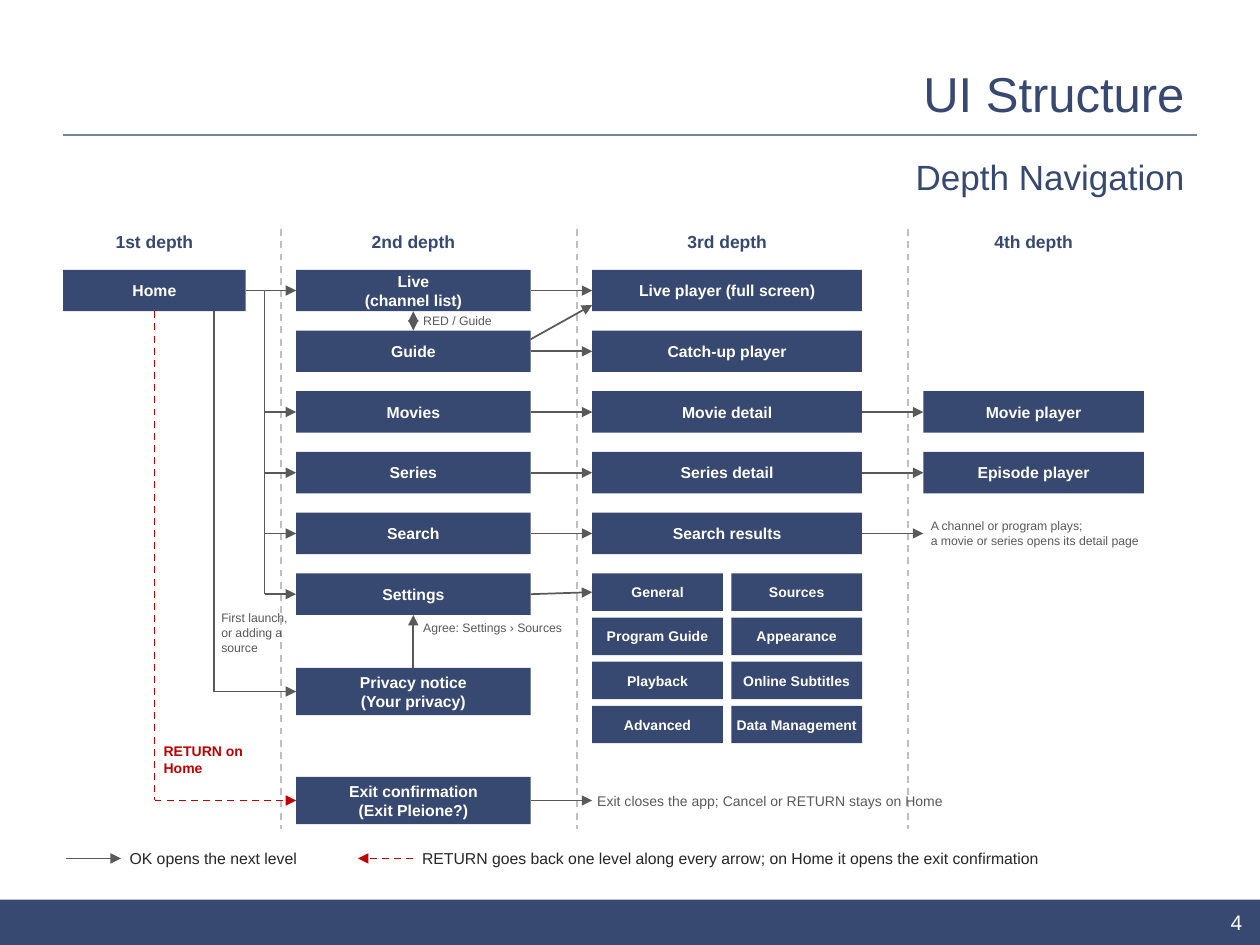
from collections import namedtuple

from lxml.etree import SubElement
from pptx import Presentation
from pptx.dml.color import RGBColor
from pptx.enum.dml import MSO_LINE
from pptx.enum.shapes import MSO_CONNECTOR, MSO_SHAPE
from pptx.enum.text import MSO_ANCHOR, PP_ALIGN
from pptx.oxml.ns import qn
from pptx.util import Pt

NAVY = RGBColor(0x37, 0x49, 0x71)
SLATE = RGBColor(0x6D, 0x87, 0x9C)
WHITE = RGBColor(0xFF, 0xFF, 0xFF)
SILVER = RGBColor(0xBF, 0xBF, 0xBF)
GREY = RGBColor(0x59, 0x59, 0x59)
INK = RGBColor(0x26, 0x26, 0x26)
RED = RGBColor(0xC0, 0x00, 0x00)
FONT = "Arial"

Box = namedtuple("Box", "left top width height")

# Columns are (left, width); node rows share one pitch
COLUMNS = [(36, 104.4), (169.2, 134), (338.4, 154.2), (527.6, 126)]
DIVIDERS = [160.6, 329.8, 519]
ROW_PITCH, NODE_HEIGHT = 34.7, 23.7
SETTING_PITCH, SETTING_HEIGHT, SETTING_GAP = 25.2, 21.4, 4.8

# Nodes of each column as {row: label}
NODES = [
    {0: "Home"},
    {0: "Live\n(channel list)", 1: "Guide", 2: "Movies", 3: "Series", 4: "Search", 5: "Settings"},
    {0: "Live player (full screen)", 1: "Catch-up player", 2: "Movie detail",
     3: "Series detail", 4: "Search results"},
    {2: "Movie player", 3: "Episode player"},
]
SETTINGS = [("General", "Sources"), ("Program Guide", "Appearance"),
            ("Playback", "Online Subtitles"), ("Advanced", "Data Management")]


def write(shape, text, size, color, bold=False, align=PP_ALIGN.LEFT, insets=(2.9, 1.4)):
    frame = shape.text_frame
    frame.word_wrap = True
    frame.vertical_anchor = MSO_ANCHOR.MIDDLE
    frame.margin_left = frame.margin_right = Pt(insets[0])
    frame.margin_top = frame.margin_bottom = Pt(insets[1])
    for index, line in enumerate(text.split("\n")):
        para = frame.add_paragraph() if index else frame.paragraphs[0]
        para.alignment = align
        span = para.add_run()
        span.text = line
        span.font.name, span.font.size, span.font.bold = FONT, Pt(size), bold
        span.font.color.rgb = color


def add_label(page, box, text, size, color, **style):
    write(page.shapes.add_textbox(*map(Pt, box)), text, size, color, **style)


def add_block(page, box):
    block = page.shapes.add_shape(MSO_SHAPE.RECTANGLE, *map(Pt, box))
    block.shadow.inherit = False
    block.fill.solid()
    block.fill.fore_color.rgb = NAVY
    block.line.fill.background()
    return block


def add_node(page, box, text, size=9):
    write(add_block(page, box), text, size, WHITE, bold=True, align=PP_ALIGN.CENTER)


def add_line(page, start, end, color=GREY, dashed=False, ends=()):
    line = page.shapes.add_connector(MSO_CONNECTOR.STRAIGHT, *map(Pt, (*start, *end)))
    line.line.color.rgb = color
    line.line.width = Pt(1)
    if dashed:
        line.line.dash_style = MSO_LINE.DASH
    outline = line.line._get_or_add_ln()
    for name in ends:
        SubElement(outline, qn("a:" + name), type="triangle")
    SubElement(line._element.spPr, qn("a:effectLst"))


def add_arrow(page, start, end, **style):
    add_line(page, start, end, ends=("tailEnd",), **style)


def add_frame(page, box):
    """Title, subtitle, rule and footer bar."""
    footer_top = 514.1
    add_block(page, Box(0, footer_top, box.width, box.height - footer_top))
    add_line(page, (36, 77), (684, 77), SLATE)
    title = page.shapes.title
    title.left, title.top, title.width, title.height = map(Pt, (167, 28.8, 517, 48.2))
    heading = {"align": PP_ALIGN.RIGHT, "insets": (7.2, 3.6)}
    write(title, "UI Structure", 28, NAVY, **heading)
    add_label(page, Box(167, 77, 517, 48.2), "Depth Navigation", 20, NAVY, **heading)
    add_label(page, Box(555, 519.1, 162, 15.1), "4", 12, WHITE, **heading)


def add_headers(page, box):
    """Depth names and the dashed dividers between the columns."""
    for (left, width), name in zip(COLUMNS, ("1st", "2nd", "3rd", "4th")):
        add_label(page, Box(left, box.top, width, 18), f"{name} depth", 10, NAVY,
                  bold=True, align=PP_ALIGN.CENTER)
    for x in DIVIDERS:
        add_line(page, (x, box.top + 2), (x, box.top + box.height), SILVER, dashed=True)


def add_settings(page, box):
    width = (box.width - SETTING_GAP) / 2
    for row, pair in enumerate(SETTINGS):
        for column, text in enumerate(pair):
            add_node(page, Box(box.left + column * (width + SETTING_GAP),
                               box.top + row * SETTING_PITCH, width, SETTING_HEIGHT), text, 8)


def add_flow(page, box):
    """Nodes on the grid, the notices below them and every arrow."""
    tops = [box.top + row * ROW_PITCH for row in range(6)]
    middles = [top + NODE_HEIGHT / 2 for top in tops]
    lefts = [left for left, _ in COLUMNS]
    rights = [left + width for left, width in COLUMNS]
    second, third = COLUMNS[1], COLUMNS[2]
    center = second[0] + second[1] / 2
    home_bottom, settings_bottom = tops[0] + NODE_HEIGHT, tops[5] + NODE_HEIGHT

    # Nodes
    for (left, width), column in zip(COLUMNS, NODES):
        for row, text in column.items():
            add_node(page, Box(left, tops[row], width, NODE_HEIGHT), text)
    add_settings(page, Box(third[0], tops[5], third[1], 97))
    privacy = Box(second[0], 381.7, second[1], 26.9)
    leave = Box(second[0], 444, second[1], 26.9)
    add_node(page, privacy, "Privacy notice\n(Your privacy)")
    add_node(page, leave, "Exit confirmation\n(Exit Pleione?)")
    privacy_middle = privacy.top + privacy.height / 2
    leave_middle = leave.top + leave.height / 2

    # Home branches into the second depth
    trunk = 151.2
    add_line(page, (rights[0], middles[0]), (trunk, middles[0]))
    add_line(page, (trunk, middles[0]), (trunk, middles[5]))
    for row in (0, 2, 3, 4, 5):
        add_arrow(page, (trunk, middles[row]), (lefts[1], middles[row]))

    # Second to third and third to fourth depth
    for row in range(5):
        add_arrow(page, (rights[1], middles[row]), (lefts[2], middles[row]))
    add_arrow(page, (rights[1], tops[1] + 5), (lefts[2], home_bottom - 3.6))
    add_arrow(page, (rights[1], middles[5]), (lefts[2], tops[5] + SETTING_HEIGHT / 2))
    for row in (2, 3, 4):
        add_arrow(page, (rights[2], middles[row]), (lefts[3], middles[row]))

    # Live and Guide switch both ways
    add_line(page, (center, home_bottom), (center, tops[1]), ends=("headEnd", "tailEnd"))
    add_label(page, Box(239, 177.4, 62.6, 11.5), "RED / Guide", 7, GREY)
    add_label(page, Box(529, 289.6, 135.4, 30.2),
              "A channel or program plays;\na movie or series opens its detail page", 7, GREY)

    # Return from Home to the exit confirmation
    home_center = 88.3
    add_line(page, (home_center, home_bottom), (home_center, leave_middle), RED, dashed=True)
    add_arrow(page, (home_center, leave_middle), (lefts[1], leave_middle), color=RED, dashed=True)
    add_label(page, Box(90.6, 426.2, 64.8, 15.8), "RETURN on Home", 8, RED, bold=True)
    add_arrow(page, (rights[1], leave_middle), (lefts[2], leave_middle))
    add_label(page, Box(lefts[2], 443.6, 236, 28.1),
              "Exit closes the app; Cancel or RETURN stays on Home", 8, GREY)

    # First launch leads to the privacy notice
    launch = 122.1
    add_line(page, (launch, home_bottom), (launch, privacy_middle))
    add_arrow(page, (launch, privacy_middle), (lefts[1], privacy_middle))
    add_label(page, Box(123.6, 345, 47.5, 33.1), "First launch,\nor adding a\nsource", 7, GREY)
    add_arrow(page, (center, privacy.top), (center, settings_bottom))
    add_label(page, Box(239, 353, 110.2, 11.5), "Agree: Settings › Sources", 7, GREY)


def add_legend(page, box):
    middle = box.top + box.height / 2
    add_arrow(page, (box.left, middle), (box.left + 31.5, middle))
    add_label(page, Box(71.2, box.top, 150, box.height), "OK opens the next level", 9, INK)
    add_arrow(page, (236.2, middle), (204.6, middle), color=RED, dashed=True)
    add_label(page, Box(238.3, box.top, 441, box.height),
              "RETURN goes back one level along every arrow; on Home it opens the exit confirmation",
              9, INK)


def main():
    deck = Presentation()
    deck.slide_width, deck.slide_height = Pt(720), Pt(540)
    page = deck.slides.add_slide(deck.slide_layouts[5])
    add_frame(page, Box(0, 0, 720, 540))
    add_headers(page, Box(36, 129, 618, 345))
    add_flow(page, Box(36, 154.2, 618, 317))
    add_legend(page, Box(37.6, 481.9, 642, 17.3))
    deck.save("out.pptx")


if __name__ == "__main__":
    main()
